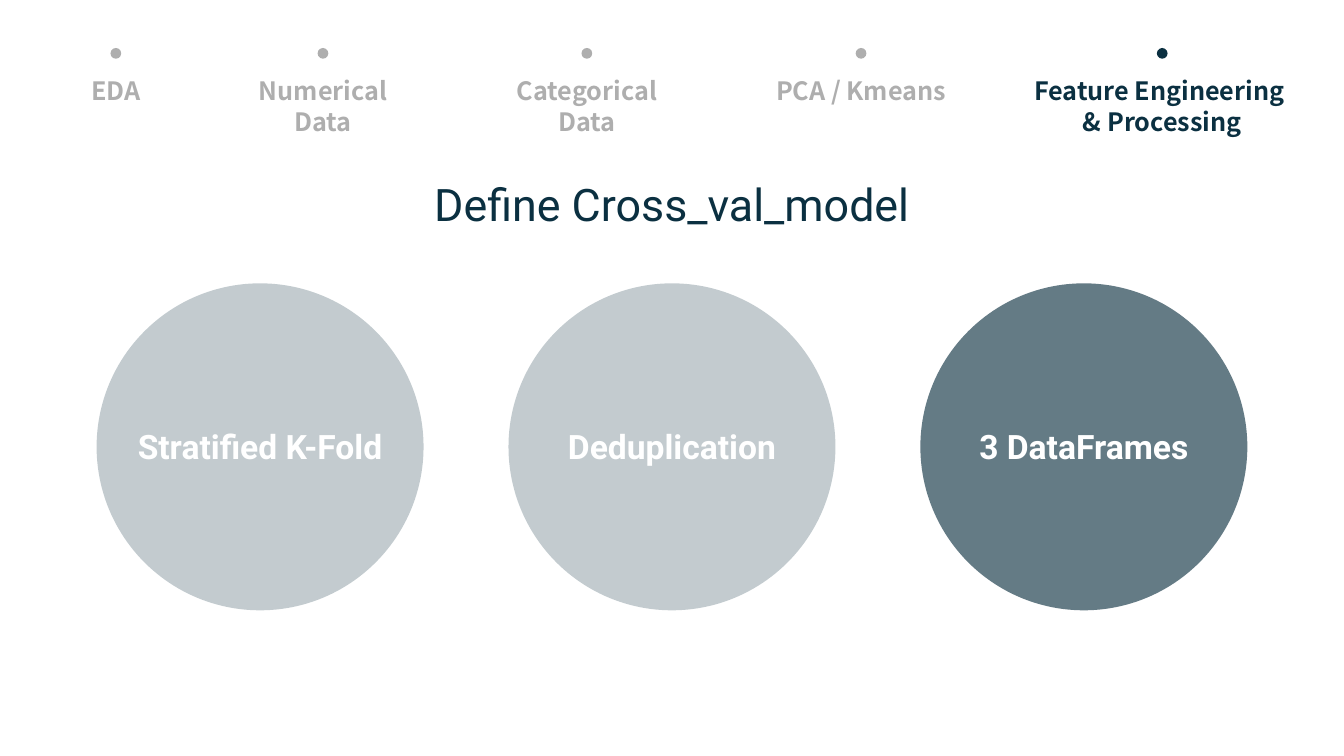
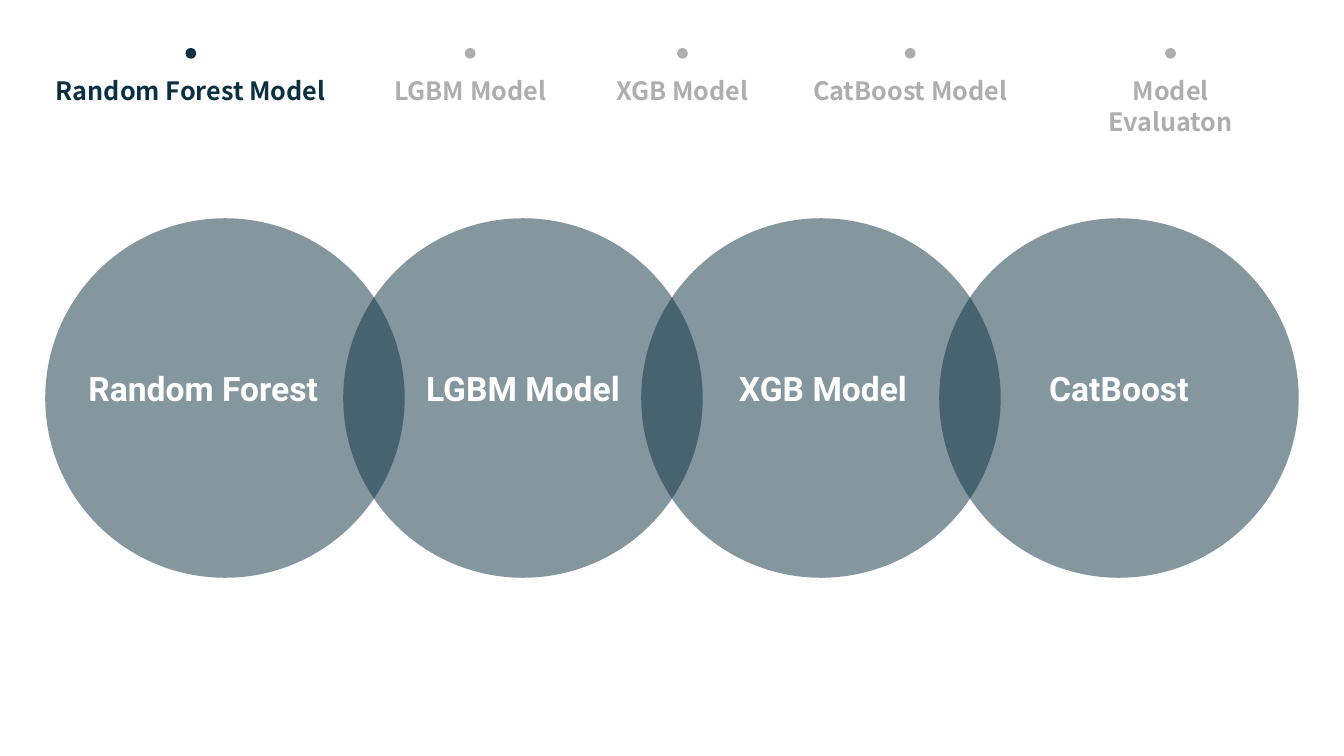
from dataclasses import dataclass
from pptx import Presentation
from pptx.dml.color import RGBColor
from pptx.enum import shapes, text
from pptx.oxml.xmlchemy import OxmlElement
from pptx.util import Cm, Pt


@dataclass(frozen=True)
class Theme:
    navy: str = "0B3041"
    slate: str = "395663"
    gray: str = "AEAEAE"
    white: str = "FFFFFF"
    head: str = "Roboto"
    nav: str = "Noto Sans CJK KR"
    title: int = 32
    label: int = 24
    step: int = 18


T = Theme()
WIDE, HIGH = 33.87, 19.05
SLIM, BROAD = 4.95, 7.6  # widths of a step's text box

# steps: lines, centre, width; rings: label, opacity, shift of the label
SLIDES = [
    dict(
        title="Define Cross_val_model",
        active=4,
        steps=[
            (["EDA"], 2.92, SLIM),
            (["Numerical Data"], 8.14, SLIM),
            (["Categorical Data"], 14.79, SLIM),
            (["PCA / Kmeans"], 21.7, SLIM),
            (["Feature Engineering ", "& Processing"], 29.29, BROAD),
        ],
        color=T.slate, size=8.24, pitch=10.38, top=7.14, lift=0,
        rings=[
            ("Stratified K-Fold", 30, 0),
            ("Deduplication", 30, 0),
            ("3 DataFrames", 78, 0),
        ],
    ),
    dict(
        title=None,
        active=0,
        steps=[
            (["Random Forest Model"], 4.81, BROAD),
            (["LGBM Model"], 11.85, SLIM),
            (["XGB Model"], 17.2, SLIM),
            (["CatBoost Model"], 22.94, BROAD),
            (["Model Evaluaton"], 29.5, SLIM),
        ],
        color=T.navy, size=9.06, pitch=7.51, top=5.5, lift=0.25,
        rings=[
            ("Random Forest", 50, -0.55),
            ("LGBM Model", 50, 0),
            ("XGB Model", 50, 0.05),
            ("CatBoost", 50, 0),
        ],
    ),
]


def write(slide, lines, mid, top, width, high, font, size, color, bold=True):
    """Add centred text, one paragraph a line, around the centre mid."""
    box = slide.shapes.add_textbox(Cm(mid - width / 2), Cm(top), Cm(width), Cm(high))
    frame = box.text_frame
    frame.word_wrap = True
    for i, line in enumerate(lines):
        para = frame.add_paragraph() if i else frame.paragraphs[0]
        para.alignment = text.PP_ALIGN.CENTER
        run = para.add_run()
        run.text = line
        run.font.name, run.font.size, run.font.bold = font, Pt(size), bold
        run.font.color.rgb = RGBColor.from_string(color)


def disc(slide, mid, top, size, color, alpha=100):
    oval = slide.shapes.add_shape(
        shapes.MSO_SHAPE.OVAL, Cm(mid - size / 2), Cm(top), Cm(size), Cm(size))
    oval.shadow.inherit = False
    oval.line.fill.background()
    oval.fill.solid()
    oval.fill.fore_color.rgb = RGBColor.from_string(color)
    if alpha < 100:
        node = OxmlElement("a:alpha")
        node.set("val", str(alpha * 1000))
        oval.fill._xPr.solidFill[0].append(node)


def draw_nav(slide, steps, active):
    for i, (lines, mid, width) in enumerate(steps):
        color = T.navy if i == active else T.gray
        write(slide, lines, mid, 1.78, width, 1.02, T.nav, T.step, color)
        disc(slide, mid, 1.21, 0.27, color)


def draw_rings(slide, data):
    """Draw a row of discs centred on the slide, then their labels on top."""
    size, rings = data["size"], data["rings"]
    first = (WIDE - data["pitch"] * (len(rings) - 1)) / 2
    mids = [first + i * data["pitch"] for i in range(len(rings))]
    for mid, (_, alpha, _) in zip(mids, rings):
        disc(slide, mid, data["top"], size, data["color"], alpha)
    high = 1.28
    top = data["top"] + (size - high) / 2 - data["lift"]
    for mid, (name, _, shift) in zip(mids, rings):
        write(slide, [name], mid + shift, top, size, high, T.head, T.label, T.white)


def main():
    deck = Presentation()
    deck.slide_width, deck.slide_height = Cm(WIDE), Cm(HIGH)
    for data in SLIDES:
        slide = deck.slides.add_slide(deck.slide_layouts[6])
        draw_nav(slide, data["steps"], data["active"])
        if data["title"]:
            write(slide, [data["title"]], WIDE / 2, 4.32, 30.28, 1.63,
                  T.head, T.title, T.navy, None)
        draw_rings(slide, data)
    deck.save("out.pptx")


if __name__ == "__main__":
    main()
